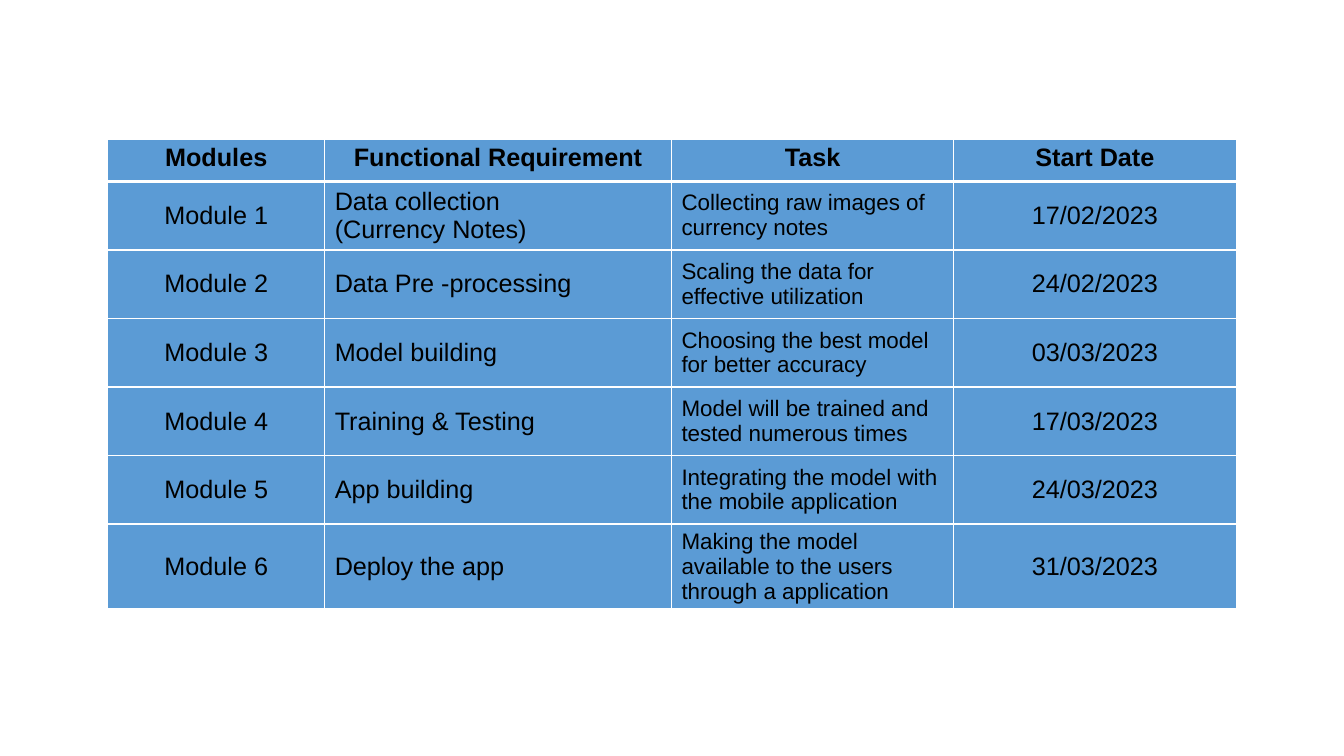
"""Builds a slide with a table of project modules, tasks and start dates."""
import pptx
import pptx.dml.color
import pptx.enum.text
import pptx.oxml
import pptx.oxml.ns
import pptx.util

Inches = pptx.util.Inches
Pt = pptx.util.Pt
ALIGN = pptx.enum.text.PP_ALIGN
ANCHOR = pptx.enum.text.MSO_ANCHOR

HEADS = ("Modules", "Functional Requirement", "Task", "Start Date")
PLAN = [
    ("Data collection\n(Currency Notes)", "Collecting raw images of currency notes", "17/02/2023"),
    ("Data Pre -processing", "Scaling the data for effective utilization", "24/02/2023"),
    ("Model building", "Choosing the best model for better accuracy", "03/03/2023"),
    ("Training & Testing", "Model will be trained and tested numerous times", "17/03/2023"),
    ("App building", "Integrating the model with the mobile application", "24/03/2023"),
    ("Deploy the app", "Making the model available to the users through a application", "31/03/2023"),
]
WIDTHS = (2.15, 3.44, 2.8, 2.8)
SIZES = (18, 18, 16, 18)
SIDES = (ALIGN.CENTER, ALIGN.LEFT, ALIGN.LEFT, ALIGN.CENTER)
HEAD_HIGH, ROW_HIGH = 0.42, 0.68
BLUE, BLACK, WHITE = "5B9BD5", "000000", "FFFFFF"


def color(code):
    return pptx.dml.color.RGBColor.from_string(code)


def border(cell, top, bottom):
    props = cell._tc.get_or_add_tcPr()
    widths = {"lnL": 1, "lnR": 1, "lnT": top, "lnB": bottom}
    for place, (tag, width) in enumerate(widths.items()):
        line = pptx.oxml.parse_xml(
            f'<a:{tag} {pptx.oxml.ns.nsdecls("a")} w="{Pt(width)}"><a:solidFill>'
            f'<a:srgbClr val="{WHITE}"/></a:solidFill></a:{tag}>')
        props.insert(place, line)


def write(cell, text, size, side, bold):
    for i, part in enumerate(text.split("\n")):
        para = cell.text_frame.paragraphs[0] if i == 0 else cell.text_frame.add_paragraph()
        para.alignment = side
        run = para.add_run()
        run.text = part
        run.font.name = "Arial"
        run.font.size = Pt(size)
        run.font.bold = bold
        run.font.color.rgb = color(BLACK)


deck = pptx.Presentation()
deck.slide_width, deck.slide_height = Inches(13.33), Inches(7.5)
slide = deck.slides.add_slide(deck.slide_layouts[6])

rows = [HEADS] + [(f"Module {n}", *item) for n, item in enumerate(PLAN, 1)]
highs = [HEAD_HIGH] + [ROW_HIGH] * len(PLAN)
table = slide.shapes.add_table(
    len(rows), len(HEADS), Inches(1.07), Inches(1.38),
    Inches(sum(WIDTHS)), Inches(sum(highs))).table

for col, width in zip(table.columns, WIDTHS):
    col.width = Inches(width)
for r, (texts, high) in enumerate(zip(rows, highs)):
    table.rows[r].height = Inches(high)
    head = r == 0
    for c, text in enumerate(texts):
        cell = table.cell(r, c)
        cell.fill.solid()
        cell.fill.fore_color.rgb = color(BLUE)
        cell.vertical_anchor = ANCHOR.TOP if head else ANCHOR.MIDDLE
        border(cell, 3 if r == 1 else 1, 3 if head else 1)
        write(cell, text, 18 if head else SIZES[c], ALIGN.CENTER if head else SIDES[c], head)

deck.save("out.pptx")
